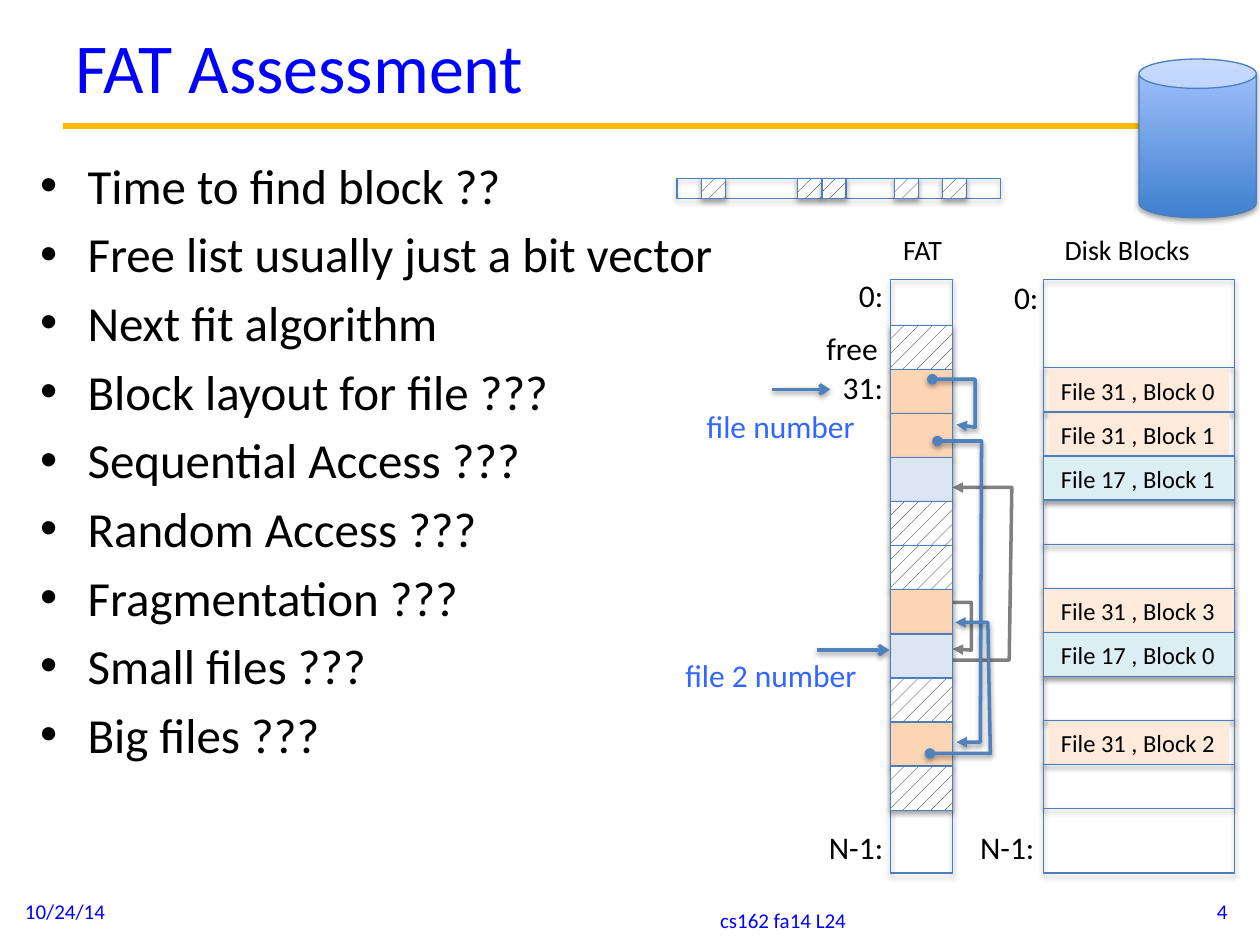
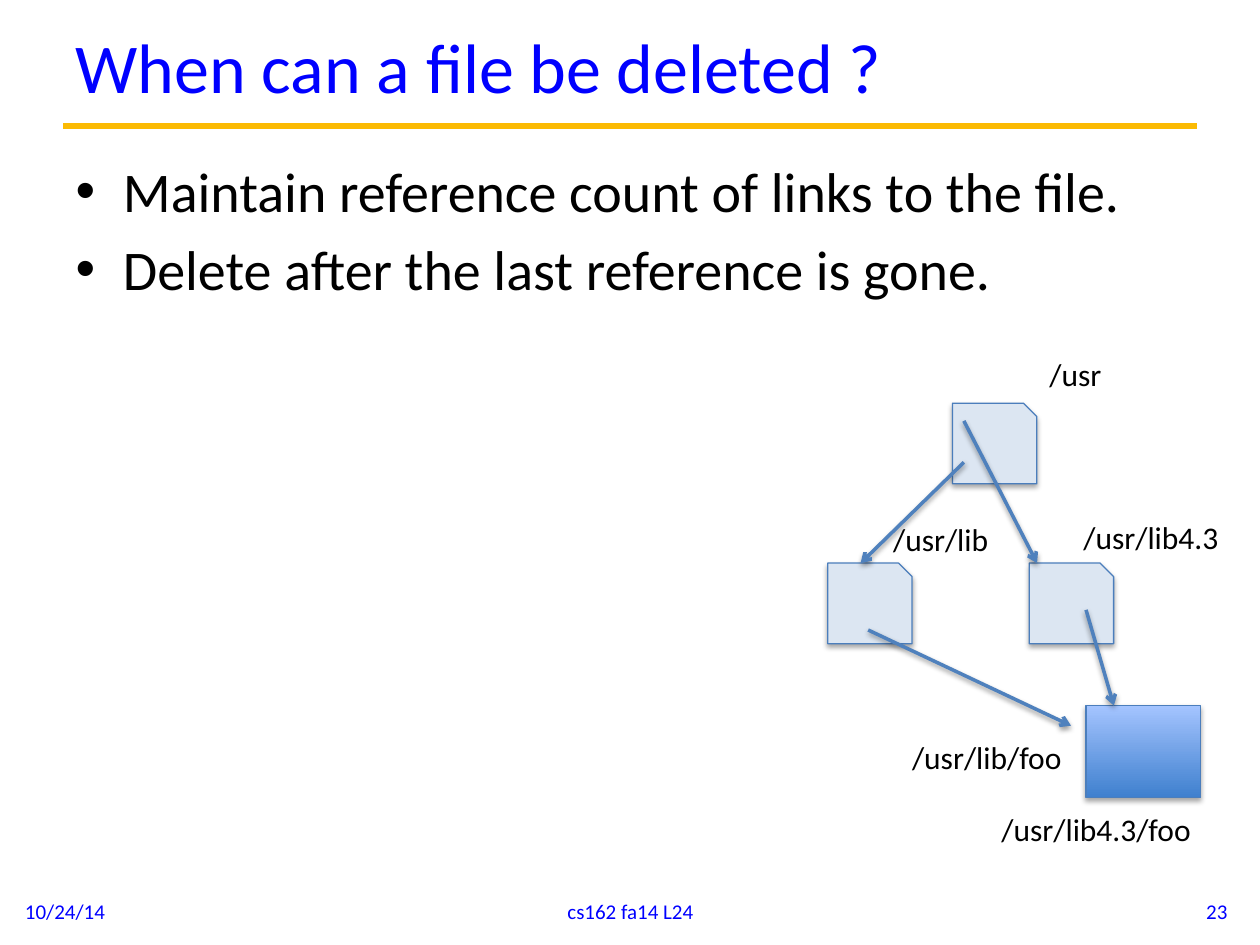
from dataclasses import dataclass

from lxml import etree
from pptx import Presentation
from pptx import util as u
from pptx.dml.color import RGBColor
from pptx.enum import dml, shapes, text
from pptx.oxml.ns import qn

Pt = u.Pt
BOX = shapes.MSO_SHAPE
ALIGN = text.PP_ALIGN
MIDDLE = text.MSO_ANCHOR.MIDDLE
HATCH = "hatch"
GRADIENT = "gradient"


@dataclass(frozen=True)
class Theme:
    font: str = "Calibri"
    title: str = "0000FF"
    body: str = "000000"
    paper: str = "FFFFFF"
    rule: str = "FBBA03"
    outline: str = "4B7EBC"
    link: str = "4F81BD"
    link_alt: str = "808080"
    note: str = "3366FF"
    orange: str = "FCD5B5"
    peach: str = "FDEADA"
    blue: str = "DCE6F2"
    aqua: str = "DBEEF4"
    grad_low: str = "3F80CE"
    grad_high: str = "A4C4FF"
    title_size: float = 40
    label_size: float = 18
    heading_size: float = 16
    block_size: float = 14
    footer_size: float = 12


T = Theme()


def rgb(value):
    return RGBColor.from_string(value)


def put_text(tf, words, size=T.label_size, color=T.body, align=ALIGN.LEFT,
             anchor=text.MSO_ANCHOR.TOP, wrap=False):
    tf.text = words
    tf.word_wrap = wrap
    tf.auto_size = (text.MSO_AUTO_SIZE.NONE if wrap
                    else text.MSO_AUTO_SIZE.SHAPE_TO_FIT_TEXT)
    tf.vertical_anchor = anchor
    tf.paragraphs[0].space_before = Pt(0)
    for p in tf.paragraphs:
        p.alignment = align
        for r in p.runs:
            r.font.name = T.font
            r.font.size = Pt(size)
            r.font.color.rgb = rgb(color)


def set_shadow(sp, alpha=None, dist=1.8):
    effects = etree.SubElement(sp.element.spPr, qn("a:effectLst"))
    if alpha:
        outer = etree.SubElement(
            effects, qn("a:outerShdw"), blurRad=str(Pt(3.1)),
            dist=str(Pt(dist)), dir="5400000", rotWithShape="0")
        black = etree.SubElement(outer, qn("a:srgbClr"), val="000000")
        etree.SubElement(black, qn("a:alpha"), val=str(alpha * 1000))


def set_line(sp, color, width, head=None, tail=None):
    sp.line.color.rgb = rgb(color)
    sp.line.width = Pt(width)
    ln = sp.element.spPr.find(qn("a:ln"))
    for tag, kind in (("a:headEnd", head), ("a:tailEnd", tail)):
        if kind:
            etree.SubElement(ln, qn(tag), type=kind)


def set_fill(fill, kind):
    if kind is None:
        fill.background()
    elif kind == HATCH:
        fill.patterned()
        fill.pattern = dml.MSO_PATTERN.PERCENT_10
        fill.fore_color.rgb = rgb(T.body)
        fill.back_color.rgb = rgb(T.paper)
    elif kind == GRADIENT:
        fill.gradient()
        fill.gradient_angle = 90
        for stop, color in zip(fill.gradient_stops, (T.grad_low, T.grad_high)):
            stop.color.rgb = rgb(color)
    else:
        fill.solid()
        fill.fore_color.rgb = rgb(kind)


class Deck:
    def __init__(self):
        self.prs = Presentation()
        self.prs.slide_width, self.prs.slide_height = Pt(720), Pt(540)
        self.s = None

    def slide(self, title, bullets, number, body, size, footer):
        self.s = self.prs.slides.add_slide(self.prs.slide_layouts[1])
        self.line((36, 72), (684, 72), color=T.rule, width=3.75, tail=None,
                  shadow=None)
        self.placeholder(0, title, (36, 2.9, 648, 69.1), size=T.title_size,
                         color=T.title, anchor=MIDDLE)
        self.placeholder(1, "\n".join(bullets), body, size=size)
        for words, left, top, width, align in (
                ("10/24/14", 7.2, 506.2, 167.8, ALIGN.LEFT),
                ("cs162 fa14 L24", *footer, 228.2, ALIGN.CENTER),
                (str(number), 540.7, 506.2, 167.8, ALIGN.RIGHT)):
            self.label(words, left, top, width, size=T.footer_size,
                       color=T.title, align=align, anchor=MIDDLE, wrap=True)

    def placeholder(self, idx, words, at, **fmt):
        sp = self.s.placeholders[idx]
        sp.left, sp.top, sp.width, sp.height = map(Pt, at)
        put_text(sp.text_frame, words, wrap=True, **fmt)

    def label(self, words, left, top, width, height=28.8, **fmt):
        sp = self.s.shapes.add_textbox(Pt(left), Pt(top), Pt(width), Pt(height))
        put_text(sp.text_frame, words, **fmt)

    def box(self, left, top, width, height, fill=None, kind=BOX.RECTANGLE,
            outlined=True, words=None):
        sp = self.s.shapes.add_shape(kind, Pt(left), Pt(top), Pt(width),
                                     Pt(height))
        set_fill(sp.fill, fill)
        if outlined:
            set_line(sp, T.outline, 0.75)
        else:
            sp.line.fill.background()
        set_shadow(sp, 35 if outlined else None)
        if words:
            put_text(sp.text_frame, words, size=T.block_size)

    def line(self, start, end, color=T.link, width=2, tail="arrow", shadow=38):
        sp = self.s.shapes.add_connector(shapes.MSO_CONNECTOR.STRAIGHT,
                                         *map(Pt, start + end))
        set_line(sp, color, width, tail=tail)
        set_shadow(sp, shadow, 1.6)

    def path_link(self, points, color=T.link, head="oval", shadow=38):
        first, *rest = [(Pt(x), Pt(y)) for x, y in points]
        builder = self.s.shapes.build_freeform(*first)
        builder.add_line_segments(rest, close=False)
        sp = builder.convert_to_shape()
        sp.fill.background()
        set_line(sp, color, 2, head=head, tail="triangle")
        set_shadow(sp, shadow, 1.6)


def fat_slide(deck):
    deck.slide(
        "FAT Assessment",
        ["Time to find block ??", "Free list usually just a bit vector",
         "Next fit algorithm", "Block layout for file ???",
         "Sequential Access ???", "Random Access ???", "Fragmentation ???",
         "Small files ???", "Big files ???"],
        4, (15.8, 85, 425.5, 442.8), 28, (333.4, 511.2))
    row = 25.2
    table_top, table_height = 159.8, 339.2
    fat_left, fat_width = 509, 35.3
    disk_left, disk_width = 596.2, 109.4

    blocks = [("File 31 , Block 0", T.peach, None),
              ("File 31 , Block 1", T.peach, None),
              ("File 17 , Block 1", T.aqua, T.aqua),
              None, None,
              ("File 31 , Block 3", T.peach, T.peach),
              ("File 17 , Block 0", T.aqua, T.aqua),
              None,
              ("File 31 , Block 2", T.peach, None),
              None]
    deck.box(disk_left, table_top, disk_width, table_height)
    for i, block in enumerate(blocks):
        top = 210.2 + i * row
        words, fill, back = block or (None, None, None)
        deck.box(disk_left, top, disk_width, row, back)
        if words:
            deck.box(disk_left + 2.9, top + 0.9, 103.4, 24.2, fill,
                     outlined=False, words=words)

    deck.box(fat_left, table_top, fat_width, table_height)
    for points in (
            [(544.3, 344.2), (555.1, 344.2), (555.1, 371.5), (544.3, 370.8)],
            [(544.3, 377.3), (576.7, 377.3), (578.2, 278.6), (544.3, 278.6)]):
        deck.path_link(points, color=T.link_alt, head=None, shadow=None)
    entries = [HATCH, T.orange, T.orange, T.blue, HATCH, HATCH, T.orange,
               T.blue, HATCH, T.orange, HATCH]
    for i, fill in enumerate(entries):
        deck.box(fat_left, 185.8 + i * row, fat_width, row, fill)
    for points in (
            [(532.8, 216.7), (557.3, 216.7), (557.3, 244.1), (546.5, 242.6)],
            [(535.7, 252), (560.9, 252), (560.2, 424.1), (546.5, 424.1)],
            [(531.4, 430.6), (565.9, 430.6), (564.5, 355.7), (545.8, 355.7)]):
        deck.path_link(points)

    for words, left, width in (("FAT", 509, 38.9), ("Disk Blocks", 601.2, 87.1)):
        deck.label(words, left, 129.6, width, 26.6, size=T.heading_size)
    for words, left, top, width in (
            ("0:", 483.8, 154.1, 28.8), ("0:", 572.4, 155.5, 28.8),
            ("free", 465.1, 184.3, 44.6), ("31:", 474.5, 206.6, 38.2),
            ("N-1:", 466.6, 469.4, 46.1), ("N-1:", 553, 469.4, 46.1)):
        deck.label(words, left, top, width)
    deck.label("file number", 396.7, 229, 100.1, color=T.note)
    deck.label("file 2 number", 384.5, 371.5, 113.8, color=T.note)
    deck.line((441.4, 222.5), (474.5, 222.5))
    deck.line((466.6, 371.5), (508.3, 371.5))

    bits_left, bits_top, bit, bit_height = 386.9, 101.9, 13.8, 11.5
    deck.box(bits_left, bits_top, 185, bit_height)
    for i in (1, 5, 6, 9, 11):
        deck.box(bits_left + i * bit, bits_top, bit, bit_height, HATCH)
    deck.box(650.9, 33.8, 67, 90.7, GRADIENT, BOX.CAN)


def delete_slide(deck):
    deck.slide(
        "When can a file be deleted ?",
        ["Maintain reference count of links to the file.",
         "Delete after the last reference is gone."],
        23, (36, 85.7, 648, 410.4), 32, (246.2, 506.2))
    deck.box(620.6, 403.2, 65.5, 52.6, GRADIENT)
    for left, top in ((544.3, 230.4), (588.2, 321.8), (473, 321.8)):
        deck.box(left, top, 48.2, 46.1, T.blue, BOX.SNIP_1_RECTANGLE)
    for start, end in (
            ((550.8, 240.5), (592.6, 321.8)), ((620.6, 348.5), (636.5, 403.2)),
            ((550.8, 264.2), (491.8, 321.8)), ((496.1, 360), (612, 414.7))):
        deck.line(start, end)
    for words, left, top, width in (
            ("/usr", 592.6, 199.4, 44.6), ("/usr/lib4.3", 612, 292.3, 92.2),
            ("/usr/lib", 503.3, 293.8, 69.1),
            ("/usr/lib/foo", 514.1, 418.3, 101.5),
            ("/usr/lib4.3/foo", 565.2, 459.4, 124.6)):
        deck.label(words, left, top, width)


def main():
    deck = Deck()
    fat_slide(deck)
    delete_slide(deck)
    deck.prs.save("out.pptx")


if __name__ == "__main__":
    main()
